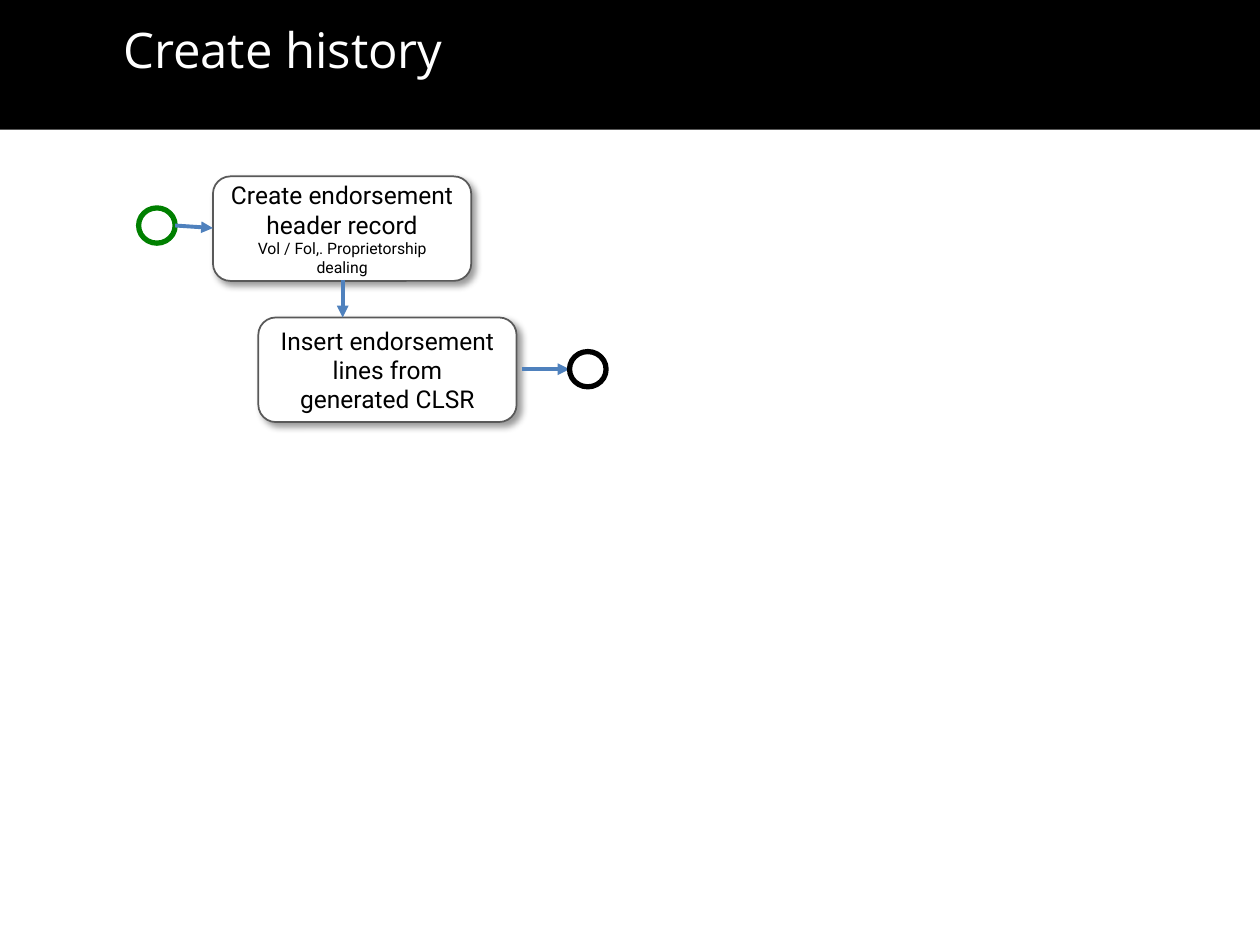
from pptx import Presentation
from pptx.dml.color import RGBColor
from pptx.enum.shapes import MSO_CONNECTOR as Connector, MSO_SHAPE as Shape
from pptx.enum.text import MSO_ANCHOR as Anchor, MSO_AUTO_SIZE as AutoSize, PP_ALIGN as Align
from pptx.oxml import parse_xml
from pptx.oxml.ns import nsdecls, qn
from pptx.util import Inches, Pt

COLORS = {
    "black": "000000",
    "white": "FFFFFF",
    "border": "595959",
    "arrow": "4F81BD",
    "start": "008000",
}
COLUMNS, ROWS = 100, 75
STEP_SIZE = (20.5, 8.3)
EVENT_SIZE = (2.9, 2.8)


class FlowSlide:
    def __init__(self, presentation):
        self.column = presentation.slide_width / COLUMNS
        self.row = presentation.slide_height / ROWS
        self.slide = presentation.slides.add_slide(presentation.slide_layouts[6])

    def place(self, column, row):
        return round(column * self.column), round(row * self.row)

    def color(self, name):
        return RGBColor.from_string(COLORS[name])

    def apply(self, target, formats):
        for name, value in formats.items():
            setattr(target, name, value)

    def outline(self, shape, color, width):
        shape.line.color.rgb = self.color(color)
        shape.line.width = Pt(width)

    def shape(self, kind, position, size, fill):
        shape = self.slide.shapes.add_shape(kind, *self.place(*position), *self.place(*size))
        shape.shadow.inherit = False
        shape.fill.solid()
        shape.fill.fore_color.rgb = self.color(fill)
        return shape

    def add_text(self, paragraph, text, font, size, color, formats):
        self.apply(paragraph, formats)
        run = paragraph.add_run()
        run.text = text
        self.apply(run.font, {"name": font, "size": Pt(size)})
        run.font.color.rgb = self.color(color)

    def title(self, text, height):
        bar = self.shape(Shape.RECTANGLE, (0, 0), (COLUMNS, height), "black")
        bar.line.fill.background()
        self.apply(bar.text_frame, {
            "margin_left": Inches(0.98),
            "margin_top": Inches(0.28),
            "margin_right": Inches(0.1),
            "margin_bottom": Inches(0.28),
            "vertical_anchor": Anchor.TOP,
            "word_wrap": True,
            "auto_size": AutoSize.SHAPE_TO_FIT_TEXT,
        })
        self.add_text(bar.text_frame.paragraphs[0], text, "Open Sans", 28, "white",
                      {"alignment": Align.LEFT, "line_spacing": 0.9})

    def step(self, position, heading, detail=None):
        box = self.shape(Shape.ROUNDED_RECTANGLE, position, STEP_SIZE, "white")
        self.outline(box, "border", 1)
        self.add_shadow(box)
        frame = box.text_frame
        self.apply(frame, {"word_wrap": True, "vertical_anchor": Anchor.MIDDLE})
        centred = {"alignment": Align.CENTER}
        self.add_text(frame.paragraphs[0], heading, "Roboto", 14, "black", centred)
        if detail:
            self.add_text(frame.add_paragraph(), detail, "Roboto", 9, "black", centred)

    def add_shadow(self, shape):
        effects = shape._element.spPr.find(qn("a:effectLst"))
        effects.append(parse_xml(
            f'<a:outerShdw {nsdecls("a")} blurRad="{Pt(4)}" dist="{Pt(3)}" dir="2700000" '
            f'algn="tl" rotWithShape="0"><a:srgbClr val="{COLORS["black"]}">'
            '<a:alpha val="40000"/></a:srgbClr></a:outerShdw>'))

    def event(self, position, color):
        self.outline(self.shape(Shape.OVAL, position, EVENT_SIZE, "white"), color, 3)

    def arrow(self, start, end):
        arrow = self.slide.shapes.add_connector(
            Connector.STRAIGHT, *self.place(*start), *self.place(*end))
        self.outline(arrow, "arrow", 2.25)
        arrow._element.spPr.find(qn("a:ln")).append(
            parse_xml(f'<a:tailEnd {nsdecls("a")} type="triangle"/>'))
        arrow._element.spPr.append(parse_xml(f'<a:effectLst {nsdecls("a")}/>'))


def main():
    presentation = Presentation()
    presentation.slide_width, presentation.slide_height = Inches(10), Inches(7.5)
    flow = FlowSlide(presentation)
    flow.step((16.9, 14), "Create endorsement header record",
              "Vol / Fol,. Proprietorship dealing")
    flow.title("Create history", 10.3)
    flow.step((20.5, 25.2), "Insert endorsement lines from generated CLSR")
    flow.arrow((41.4, 29.3), (45.2, 29.3))
    flow.event((45.2, 27.9), "black")
    flow.arrow((27.2, 22.2), (27.2, 25.2))
    flow.event((11, 16.5), "start")
    flow.arrow((13.9, 17.9), (16.9, 18.1))
    presentation.save("out.pptx")


if __name__ == "__main__":
    main()
